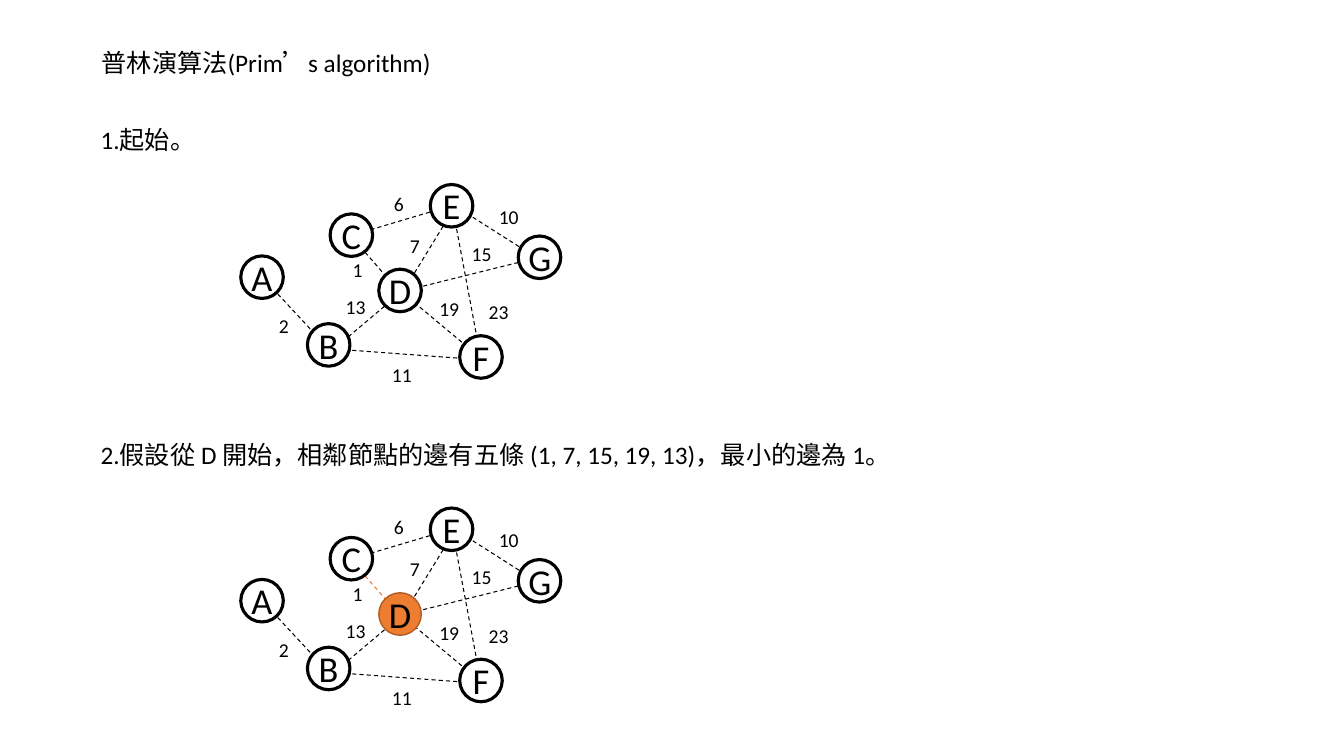
import pptx
import pptx.dml.color
import pptx.enum.dml
import pptx.enum.shapes
import pptx.enum.text
import pptx.oxml.xmlchemy
import pptx.util
from pptx.util import Pt

BLACK = pptx.dml.color.RGBColor(0x00, 0x00, 0x00)
WHITE = pptx.dml.color.RGBColor(0xFF, 0xFF, 0xFF)
ORANGE = pptx.dml.color.RGBColor(0xED, 0x7D, 0x31)
DARK_ORANGE = pptx.dml.color.RGBColor(0xAF, 0x5C, 0x24)

FONT = "Calibri"
NODE_SIZE = 30.4
LETTER_WIDTH, LETTER_HEIGHT = 30, 38.8
WEIGHT_HEIGHT = 24.5
GRAPH_STEP = 231.1

# Node name: centre in the first graph
NODES = {
    "A": (187.2, 198),
    "F": (343.6, 255),
    "B": (234.8, 246.4),
    "D": (285.8, 207.5),
    "G": (385.4, 183.8),
    "C": (251, 168),
    "E": (322.6, 147),
}

# Edge name: weight, start, end, left and top of the weight, its width
EDGES = {
    "AB": ("2", (187.9, 198.7), (236.2, 250.6), (192.2, 221), 31),
    "CD": ("1", (250.6, 168.5), (285.1, 208.1), (244.8, 180.7), 21.6),
    "EF": ("23", (323.3, 148.3), (343.4, 255.6), (342, 211), 69),
    "DG": ("15", (287.3, 208.1), (385.9, 183.6), (329.8, 169.2), 69),
    "BF": ("11", (236.2, 249.1), (343.4, 257), (272.9, 255.6), 69),
    "BD": ("13", (236.9, 250.6), (287.3, 208.1), (239.8, 207.4), 69),
    "CE": ("6", (249.8, 168.5), (322.6, 146.9), (274.3, 133.2), 69),
    "EG": ("10", (324.7, 146.9), (385.9, 185.8), (349.2, 142.6), 69),
    "DE": ("7", (288, 208.1), (324.7, 148.3), (285.8, 163.4), 69),
    "DF": ("19", (288, 209.5), (344.9, 257), (306.7, 208.8), 29.5),
}

# Left, top, width, text
HEADINGS = [
    (65.5, 30.2, 315.4, "普林演算法(Prim’s algorithm)"),
    (64.8, 85, 650, "1.起始。"),
    (64.8, 310.3, 650,
     "2.假設從 D 開始，相鄰節點的邊有五條 (1, 7, 15, 19, 13)，最小的邊為 1。"),
]


def add_text(page, text, left, top, width, height, size=18, wrap=True,
             align=pptx.enum.text.PP_ALIGN.LEFT):
    box = page.shapes.add_textbox(Pt(left), Pt(top), Pt(width), Pt(height))
    frame = box.text_frame
    frame.word_wrap = wrap
    frame.auto_size = pptx.enum.text.MSO_AUTO_SIZE.SHAPE_TO_FIT_TEXT
    para = frame.paragraphs[0]
    para.alignment = align
    span = para.add_run()
    span.text = text
    span.font.name = FONT
    span.font.size = Pt(size)
    span.font.color.rgb = BLACK


def add_edge(page, start, end, shift, color):
    edge = page.shapes.add_connector(
        pptx.enum.shapes.MSO_CONNECTOR.STRAIGHT,
        Pt(start[0]), Pt(start[1] + shift), Pt(end[0]), Pt(end[1] + shift))
    edge.line.color.rgb = color
    edge.line.width = Pt(0.75)
    edge.line.dash_style = pptx.enum.dml.MSO_LINE.DASH
    properties = edge._element.spPr
    properties.append(pptx.oxml.xmlchemy.OxmlElement("a:effectLst"))


def add_node(page, center_x, center_y, visited):
    node = page.shapes.add_shape(
        pptx.enum.shapes.MSO_SHAPE.OVAL,
        Pt(center_x - NODE_SIZE / 2), Pt(center_y - NODE_SIZE / 2),
        Pt(NODE_SIZE), Pt(NODE_SIZE))
    node.shadow.inherit = False
    node.fill.solid()
    node.fill.fore_color.rgb = ORANGE if visited else WHITE
    node.line.color.rgb = DARK_ORANGE if visited else BLACK
    node.line.width = Pt(1 if visited else 2.25)


def add_graph(page, shift=0, visited_nodes="", chosen_edges=()):
    # Edges lie behind the nodes
    for name, (_, start, end, _, _) in EDGES.items():
        add_edge(page, start, end, shift,
                 ORANGE if name in chosen_edges else BLACK)
    # Nodes and their letters
    for name, (x, y) in NODES.items():
        add_node(page, x, y + shift, name in visited_nodes)
        add_text(page, name, x - LETTER_WIDTH / 2,
                 y + shift - LETTER_HEIGHT / 2, LETTER_WIDTH, LETTER_HEIGHT,
                 size=26, wrap=False, align=pptx.enum.text.PP_ALIGN.CENTER)
    # Edge weights
    for weight, _, _, (left, top), width in EDGES.values():
        add_text(page, weight, left, top + shift, width, WEIGHT_HEIGHT, size=14)


def main():
    deck = pptx.Presentation()
    deck.slide_width, deck.slide_height = Pt(960), Pt(540)
    page = deck.slides.add_slide(deck.slide_layouts[6])

    # Title and step descriptions
    for left, top, width, text in HEADINGS:
        add_text(page, text, left, top, width, 29)

    # The graph before and after the first step
    add_graph(page)
    add_graph(page, shift=GRAPH_STEP, visited_nodes="D", chosen_edges=("CD",))

    deck.save("out.pptx")


if __name__ == "__main__":
    main()
